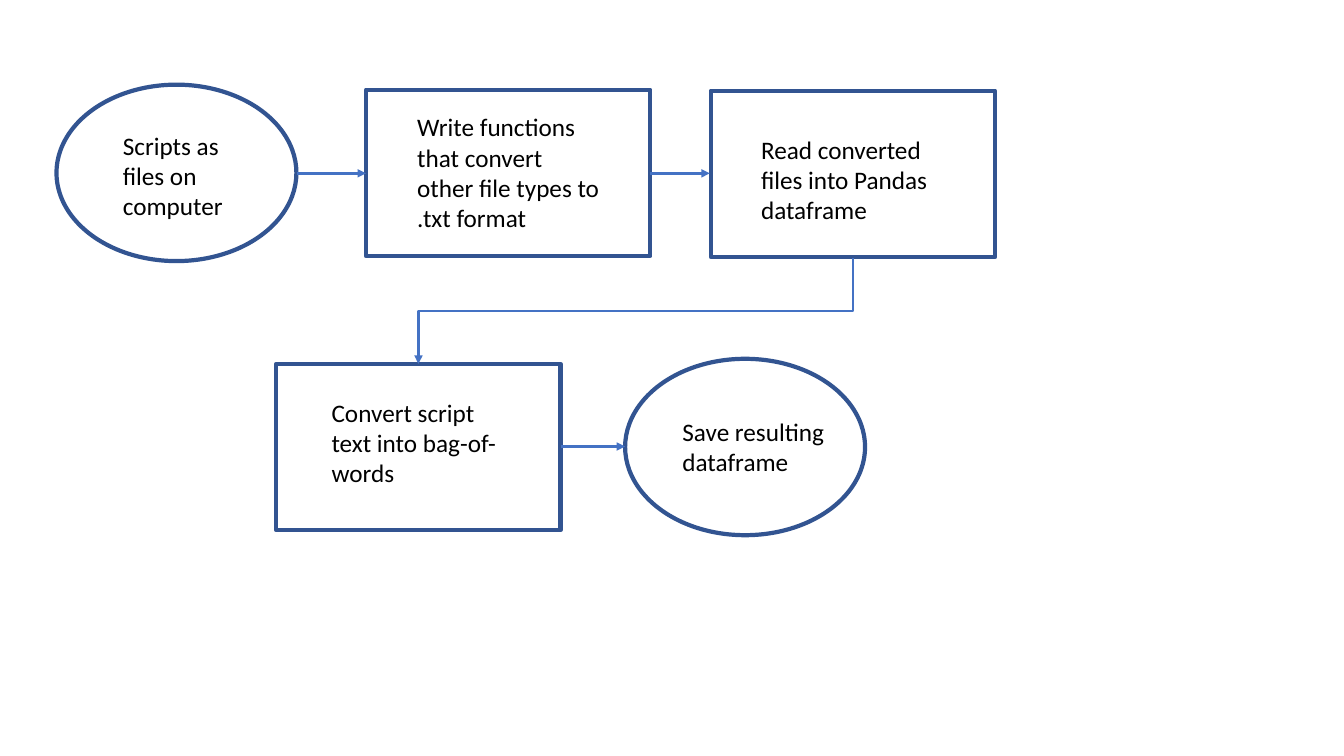
from lxml import etree
from pptx import Presentation, util as u
from pptx.dml.color import RGBColor
from pptx.enum import shapes, text
from pptx.oxml.ns import qn

COLORS = {"outline": "325491", "arrow": "4472C4", "text": "000000"}
SIZES = {"OVAL": (2.38, 1.75), "RECTANGLE": (2.82, 1.65)}

prs = Presentation()
prs.slide_width, prs.slide_height = u.Inches(13.33), u.Inches(7.5)
s = prs.slides.add_slide(prs.slide_layouts[6])


def add_text(content, box, size=18, font="Calibri", color="text"):
    tb = s.shapes.add_textbox(*map(u.Inches, box))
    tf = tb.text_frame
    tf.word_wrap = True
    tf.auto_size = text.MSO_AUTO_SIZE.SHAPE_TO_FIT_TEXT
    r = tf.paragraphs[0].add_run()
    r.text = content
    r.font.size, r.font.name = u.Pt(size), font
    r.font.color.rgb = RGBColor.from_string(COLORS[color])


def add_arrow(kind, x1, y1, x2, y2):
    c = s.shapes.add_connector(kind, *map(u.Inches, (x1, y1, x2, y2)))
    c.line.width = u.Pt(2)
    c.line.color.rgb = RGBColor.from_string(COLORS["arrow"])
    etree.SubElement(c.line._get_or_add_ln(), qn("a:tailEnd"), type="triangle")
    etree.SubElement(c._element.spPr, qn("a:effectLst"))
    return c


# Steps: outline kind, its left and top, wording, text box
steps = [
    ("OVAL", 0.56, 0.84, "Scripts as files on computer", (1.12, 1.24, 1.45, 1.01)),
    ("RECTANGLE", 3.63, 0.89, "Write functions that convert other file types to .txt format",
     (4.04, 1.06, 2.03, 1.31)),
    ("RECTANGLE", 7.05, 0.9, "Read converted files into Pandas dataframe", (7.45, 1.28, 2.01, 1.01)),
    ("RECTANGLE", 2.74, 3.61, "Convert script text into bag-of-words", (3.19, 3.89, 1.95, 1.01)),
    ("OVAL", 6.2, 3.56, "Save resulting dataframe", (6.67, 4.08, 1.95, 0.71)),
]
for kind, left, top, content, box in steps:
    sp = s.shapes.add_shape(shapes.MSO_SHAPE[kind], *map(u.Inches, (left, top, *SIZES[kind])))
    sp.shadow.inherit = False
    sp.fill.background()
    sp.line.width = u.Pt(3)
    sp.line.color.rgb = RGBColor.from_string(COLORS["outline"])
    add_text(content, box)

# Arrows along each row
for x1, x2, y in [(2.95, 3.63, 1.72), (6.45, 7.04, 1.72), (5.56, 6.2, 4.43)]:
    add_arrow(shapes.MSO_CONNECTOR.STRAIGHT, x1, y, x2, y)

# Elbow from the first row down to the second, turned a quarter clockwise
elbow = add_arrow(shapes.MSO_CONNECTOR.ELBOW, 5.78, 0.93, 6.83, 5.24)
elbow._element.spPr.find(qn("a:xfrm")).set("rot", str(90 * 60000))

prs.save("out.pptx")
